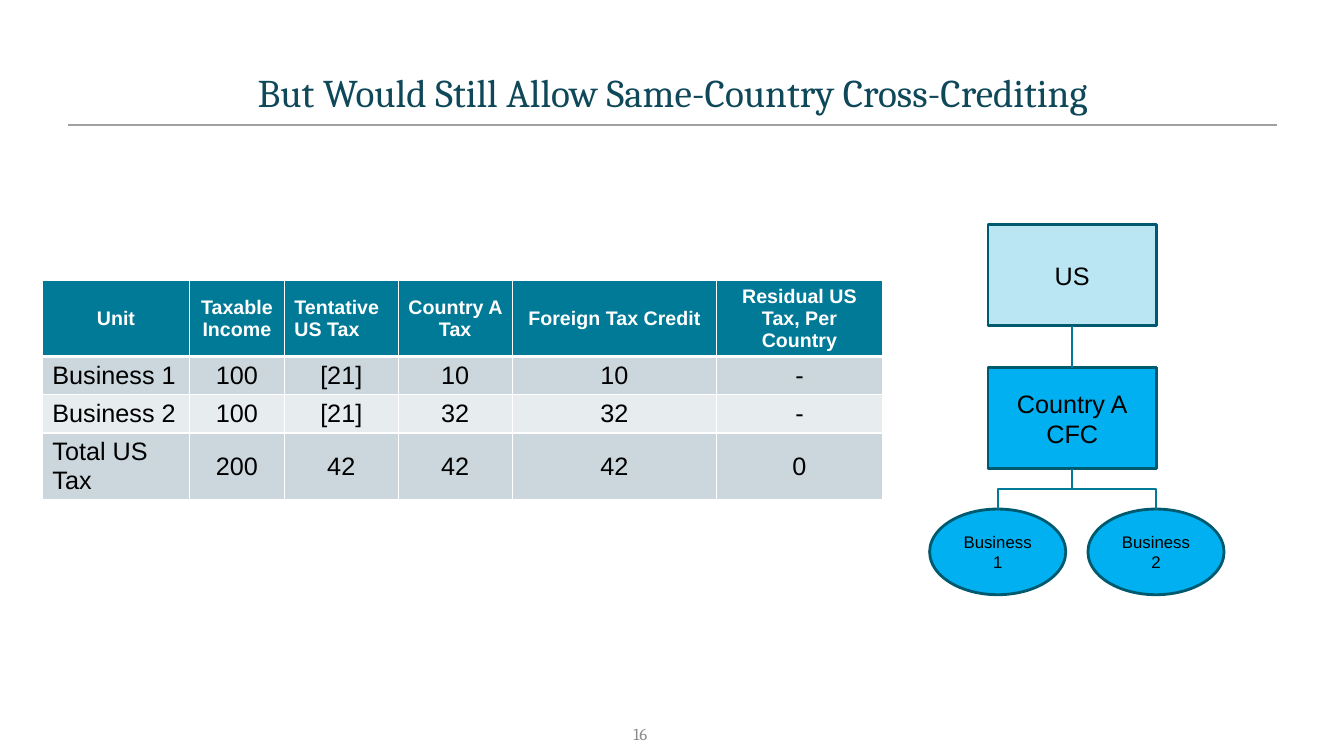
from lxml.etree import SubElement
from pptx import Presentation
from pptx.dml.color import RGBColor
from pptx.enum.shapes import MSO_CONNECTOR as Connector, MSO_SHAPE as Shape
from pptx.enum.text import MSO_ANCHOR as Anchor, PP_ALIGN as Align
from pptx.oxml.ns import qn
from pptx.util import Inches, Pt

TITLE = "But Would Still Allow Same-Country Cross-Crediting"
COLUMN_WIDTHS = [1.46, 0.94, 1.13, 1.13, 2.03, 1.64]
ROW_HEIGHTS = [0.74, 0.38, 0.38, 0.66]
TAX_ROWS = [
    ["Unit", "Taxable Income", "Tentative US Tax", "Country A Tax",
     "Foreign Tax Credit", "Residual US Tax, Per Country"],
    ["Business 1", "100", "[21]", "10", "10", "-"],
    ["Business 2", "100", "[21]", "32", "32", "-"],
    ["Total US Tax", "200", "42", "42", "42", "0"],
]


def color(value):
    return RGBColor.from_string(value)


class SlideBuilder:
    body_font = "Arial"
    title_font = "Cambria"
    black, white = "000000", "FFFFFF"
    teal, outline = "007A96", "005A6F"
    bands = ["E7ECEF", "CCD7DD"]

    def __init__(self, deck):
        self.page = deck.slides.add_slide(deck.slide_layouts[5])

    def set_text(self, frame, text, size, ink, font=None, align=Align.CENTER, bold=False):
        frame.text = text
        frame.word_wrap = True
        for para in frame.paragraphs:
            para.alignment = align
            for span in para.runs:
                span.font.name = font or self.body_font
                span.font.size = Pt(size)
                span.font.bold = bold
                span.font.color.rgb = color(ink)

    def title(self, text, left, top, width, height):
        box = self.page.shapes.title
        box.left, box.top = Inches(left), Inches(top)
        box.width, box.height = Inches(width), Inches(height)
        self.set_text(box.text_frame, text, 28, "0F4859", self.title_font)
        box.text_frame.vertical_anchor = Anchor.MIDDLE

    def page_number(self, text, left, top, width, height):
        box = self.page.shapes.add_textbox(
            Inches(left), Inches(top), Inches(width), Inches(height))
        frame = box.text_frame
        self.set_text(frame, text, 12, "8C8C8C", self.title_font, Align.RIGHT)
        frame.vertical_anchor = Anchor.MIDDLE
        frame.margin_right = 0

    def entity(self, kind, text, left, top, width, height, fill, size):
        box = self.page.shapes.add_shape(
            kind, Inches(left), Inches(top), Inches(width), Inches(height))
        box.shadow.inherit = False
        box.fill.solid()
        box.fill.fore_color.rgb = color(fill)
        box.line.color.rgb = color(self.outline)
        box.line.width = Pt(2)
        self.set_text(box.text_frame, text, size, self.black)
        box.text_frame.vertical_anchor = Anchor.MIDDLE

    def line(self, x1, y1, x2, y2, ink=teal, weight=1.5, kind=Connector.STRAIGHT):
        link = self.page.shapes.add_connector(
            kind, Inches(x1), Inches(y1), Inches(x2), Inches(y2))
        link.line.color.rgb = color(ink)
        link.line.width = Pt(weight)
        SubElement(link.element.spPr, qn("a:effectLst"))
        return link

    def branch(self, x1, y1, x2, y2):
        """Draw an elbow that leaves downwards: a sideways elbow turned a quarter."""
        middle_x, middle_y = (x1 + x2) / 2, (y1 + y2) / 2
        half_drop, half_run = (y2 - y1) / 2, abs(x2 - x1) / 2
        side = 1 if x2 > x1 else -1
        link = self.line(middle_x + side * half_drop, middle_y - half_run,
                         middle_x - side * half_drop, middle_y + half_run,
                         kind=Connector.ELBOW)
        degrees = 270 if side == 1 else 90
        link.element.spPr.find(qn("a:xfrm")).set("rot", str(degrees * 60000))

    def cell_borders(self, cell, bottom):
        properties = cell._tc.get_or_add_tcPr()
        for index, (side, weight) in enumerate(
                [("lnL", 1), ("lnR", 1), ("lnT", 1), ("lnB", bottom)]):
            border = properties.makeelement(qn(f"a:{side}"), {"w": str(Pt(weight))})
            fill = SubElement(border, qn("a:solidFill"))
            SubElement(fill, qn("a:srgbClr"), val=self.white)
            properties.insert(index, border)

    def table(self, rows, left, top, widths, heights):
        table = self.page.shapes.add_table(
            len(rows), len(widths), Inches(left), Inches(top),
            Inches(sum(widths)), Inches(sum(heights))).table
        for column, width in zip(table.columns, widths):
            column.width = Inches(width)
        for r, (values, height) in enumerate(zip(rows, heights)):
            table.rows[r].height = Inches(height)
            header = r == 0
            for c, value in enumerate(values):
                cell = table.cell(r, c)
                at_left = c == 2 if header else c == 0
                cell.fill.solid()
                cell.fill.fore_color.rgb = color(self.teal if header else self.bands[r % 2])
                self.set_text(cell.text_frame, value, 14 if header else 18,
                              self.white if header else self.black,
                              align=Align.LEFT if at_left else Align.CENTER, bold=header)
                cell.vertical_anchor = Anchor.MIDDLE if header or c else Anchor.TOP
                self.cell_borders(cell, 3 if header else 1)


def main():
    deck = Presentation()
    deck.slide_width, deck.slide_height = Inches(13.33), Inches(7.5)
    slide = SlideBuilder(deck)
    slide.line(0.67, 1.24, 12.67, 1.24, "A0A0A0", 1)
    slide.title(TITLE, 0.67, 0.58, 12, 0.67)

    center = 10.63
    slide.entity(Shape.RECTANGLE, "Country A\nCFC", 9.8, 3.65, 1.67, 1, "00B0F0", 18)
    slide.entity(Shape.RECTANGLE, "US", 9.8, 2.23, 1.67, 1, "BAE6F3", 18)
    slide.line(center, 3.23, center, 3.65)
    for name, left in [("Business 1", 9.22), ("Business 2", 10.79)]:
        slide.entity(Shape.OVAL, name, left, 5.05, 1.35, 0.85, "00B0F0", 12)
        slide.branch(center, 4.65, left + 1.35 / 2, 5.05)

    slide.table(TAX_ROWS, 0.42, 2.78, COLUMN_WIDTHS, ROW_HEIGHTS)
    slide.page_number("16", 5.84, 7.2, 0.58, 0.17)
    deck.save("out.pptx")


if __name__ == "__main__":
    main()
